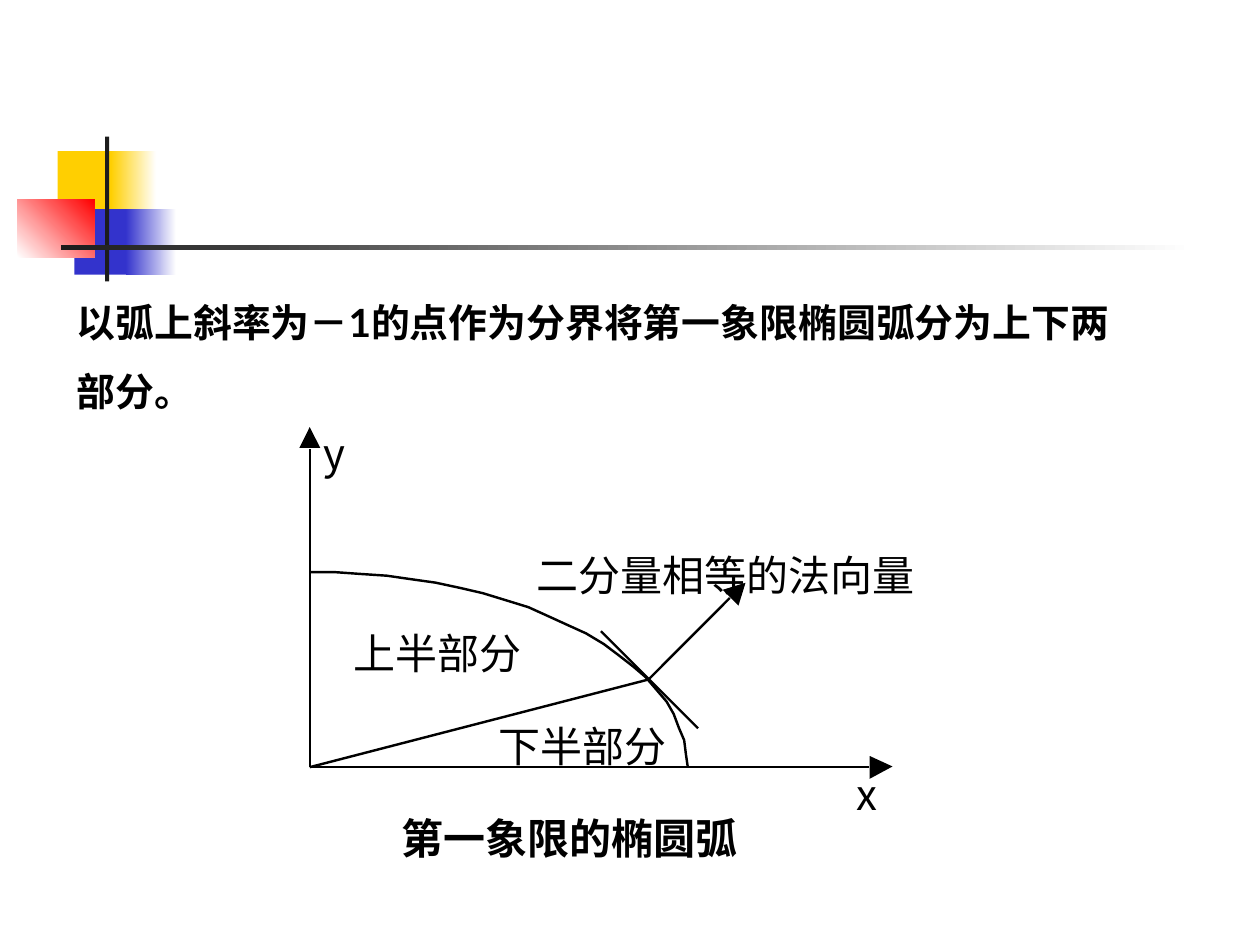
from math import atan2, cos, pi, sin

from lxml.etree import SubElement
from pptx import Presentation
from pptx.dml.color import RGBColor
from pptx.enum.shapes import MSO_CONNECTOR, MSO_SHAPE
from pptx.oxml.ns import qn
from pptx.util import Pt

COLORS = {"yellow": "FFCF01", "blue": "3333CC", "red": "FF0000",
          "dark": "1C1C1C", "white": "FFFFFF", "black": "000000"}
LATO, CJK = "Lato", "Noto Sans CJK SC"
LINE_WIDTH = 1.39

DECOR = [
    ((33, 86.4, 34.6, 37.4), ["yellow"], 0),
    ((63.4, 86.4, 25.9, 37.4), ["yellow", "white"], 0),
    ((42.5, 119.5, 33.1, 37.4), ["blue"], 0),
    ((72, 119.5, 28.8, 37.4), ["blue", "white"], 0),
    ((10, 113.8, 43.9, 33.1), ["white", "red"], 45),
    ((60, 78, 2.4, 82.8), ["dark"], 0),
    ((34.6, 140.2, 648, 2.5), ["dark", "white"], 0),
]
BODY = ["以弧上斜率为－1的点作为分界将第一象限椭圆弧分为上下两", "部分。"]
LABELS = [
    ("上半部分", (202.3, 358.6, 96, 28.8), False),
    ("下半部分", (285.1, 411.8, 96, 28.8), False),
    ("二分量相等的法向量", (306.7, 313.9, 216, 28.8), False),
    ("第一象限的椭圆弧", (229.7, 464.4, 192, 28.8), True),
    ("y", (185, 244.1, 12.2, 28.8), False),
    ("x", (489.6, 439.2, 13, 28.8), False),
]
ORIGIN = (177, 438.4)
RADII = (216, 111.4)
ARC_STEPS = 23
TANGENT_POINT = (370.6, 388.3)
TANGENT = ((343.4, 360.7), (398.9, 416.2))
ARROWS = [(ORIGIN, (177, 243.6)), (ORIGIN, (509.6, 438.4)),
          (TANGENT_POINT, (426.1, 332.6))]
HEAD_LENGTH, HEAD_HALF = 12.8, 6.4

prs = Presentation()
prs.slide_width, prs.slide_height = Pt(720), Pt(540)
slide = prs.slides.add_slide(prs.slide_layouts[6])
shapes = slide.shapes


def rgb(name):
    return RGBColor.from_string(COLORS[name])


def add_block(box, names, angle):
    sp = shapes.add_shape(MSO_SHAPE.RECTANGLE, *map(Pt, box))
    sp.shadow.inherit = False
    sp.line.fill.background()
    if len(names) == 1:
        sp.fill.solid()
        sp.fill.fore_color.rgb = rgb(names[0])
        return
    sp.fill.gradient()
    sp.fill.gradient_angle = angle
    for stop, name in zip(sp.fill.gradient_stops, names):
        stop.color.rgb = rgb(name)


def add_text(lines, box, size=24, font=CJK, bold=False, wrap=False,
             inset=(0, 0), spacing=None, gap=0):
    tf = shapes.add_textbox(*map(Pt, box)).text_frame
    tf.word_wrap = wrap
    tf.margin_left = tf.margin_right = Pt(inset[0])
    tf.margin_top = tf.margin_bottom = Pt(inset[1])
    for i, line in enumerate(lines):
        p = tf.add_paragraph() if i else tf.paragraphs[0]
        p.line_spacing = spacing
        if i:
            p.space_before = Pt(gap)
        r = p.add_run()
        r.text = line
        r.font.size, r.font.name, r.font.bold = Pt(size), font, bold
        r.font.color.rgb = rgb("black")
        SubElement(r.font._element, qn("a:ea"), typeface=CJK)


def add_line(start, end):
    line = shapes.add_connector(MSO_CONNECTOR.STRAIGHT, *map(Pt, start + end))
    line.line.color.rgb = rgb("black")
    line.line.width = Pt(LINE_WIDTH)
    SubElement(line._element.spPr, qn("a:effectLst"))


def add_outline(points, filled):
    builder = shapes.build_freeform(*points[0], scale=Pt(1))
    builder.add_line_segments(points[1:], close=filled)
    sp = builder.convert_to_shape()
    sp.shadow.inherit = False
    if filled:
        sp.fill.solid()
        sp.fill.fore_color.rgb = rgb("black")
        sp.line.fill.background()
    else:
        sp.fill.background()
        sp.line.color.rgb = rgb("black")
        sp.line.width = Pt(LINE_WIDTH)


def add_arrow(start, tip):
    angle = atan2(tip[1] - start[1], tip[0] - start[0])
    dx, dy = cos(angle), sin(angle)
    base = (tip[0] - HEAD_LENGTH * dx, tip[1] - HEAD_LENGTH * dy)
    add_line(start, base)
    corners = [(base[0] - side * HEAD_HALF * dy, base[1] + side * HEAD_HALF * dx)
               for side in (1, -1)]
    add_outline([corners[0], tip, corners[1]], filled=True)


for block in DECOR:
    add_block(*block)
add_text(BODY, (36.7, 162, 668.9, 85), size=22.2, font=LATO, bold=True,
         wrap=True, inset=(7.2, 3.6), spacing=1.2, gap=7)
for arrow in ARROWS:
    add_arrow(*arrow)
add_line(*TANGENT)
add_line(ORIGIN, TANGENT_POINT)
for text, box, bold in LABELS:
    add_text([text], box, bold=bold)
angles = [pi / 2 * i / ARC_STEPS for i in range(ARC_STEPS + 1)]
add_outline([(ORIGIN[0] + RADII[0] * sin(a), ORIGIN[1] - RADII[1] * cos(a))
             for a in angles], filled=False)

prs.save("out.pptx")
